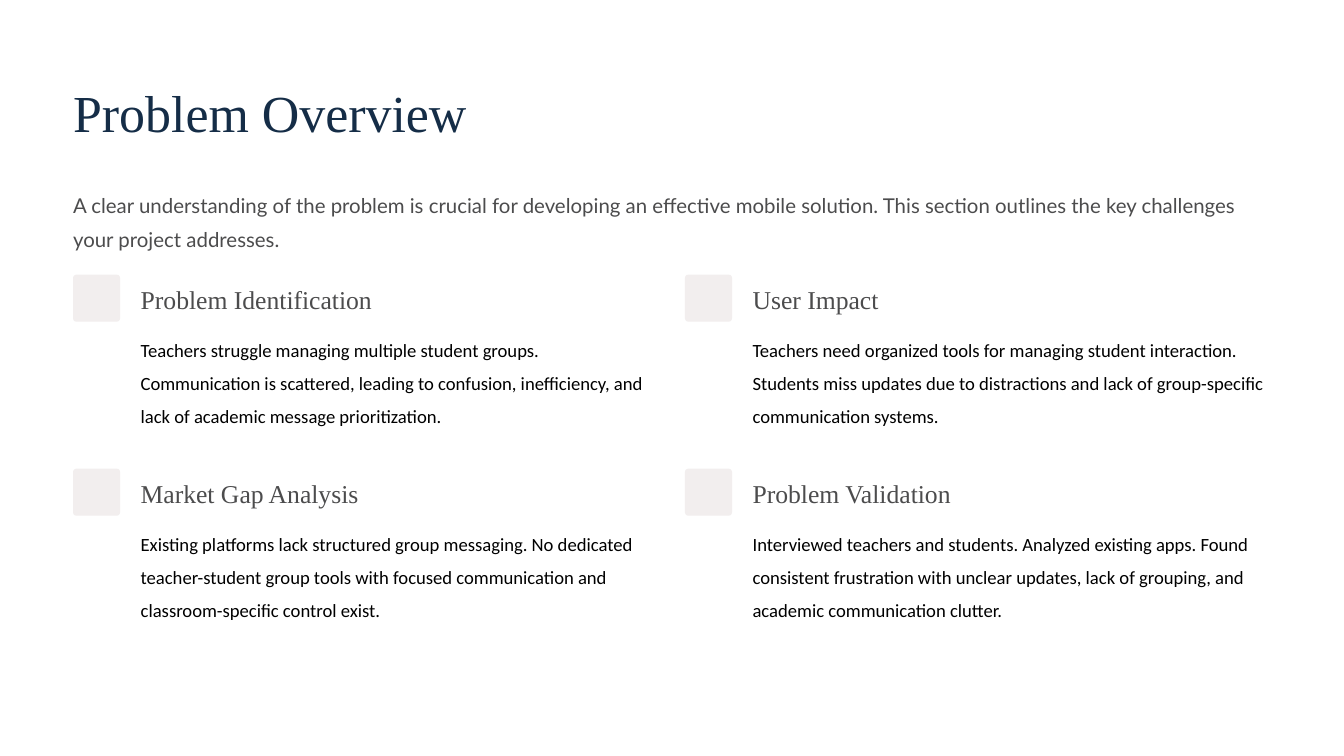
from pptx import Presentation
from pptx.dml.color import RGBColor
from pptx.enum.shapes import MSO_SHAPE as SHAPE
from pptx.util import Inches, Pt

INK, NAVY, GREY, TILE, WHITE = "000000", "152D47", "4C4C4D", "F2EEEE", "FFFFFF"
SERIF = "Times New Roman"
TOPICS = [
    ("Problem Identification",
     "Teachers struggle managing multiple student groups. Communication is scattered, "
     "leading to confusion, inefficiency, and lack of academic message prioritization."),
    ("User Impact",
     "Teachers need organized tools for managing student interaction. Students miss "
     "updates due to distractions and lack of group-specific communication systems."),
    ("Market Gap Analysis",
     "Existing platforms lack structured group messaging. No dedicated teacher-student "
     "group tools with focused communication and classroom-specific control exist."),
    ("Problem Validation",
     "Interviewed teachers and students. Analyzed existing apps. Found consistent "
     "frustration with unclear updates, lack of grouping, and academic communication clutter."),
]


def paint(fill, color):
    """Give a fill one solid colour."""
    fill.solid()
    fill.fore_color.rgb = RGBColor.from_string(color)


def add_text(s, box, text, font, size, color, leading, wrap=True):
    """Place one paragraph in a box without margins."""
    tf = s.shapes.add_textbox(*map(Inches, box)).text_frame
    tf.margin_left = tf.margin_top = tf.margin_right = tf.margin_bottom = 0
    tf.word_wrap = wrap
    p = tf.paragraphs[0]
    p.text = text
    p.line_spacing = Pt(leading)
    p.font.name = font
    p.font.size = Pt(size)
    p.font.color.rgb = RGBColor.from_string(color)


def add_header(s, left, top, width):
    """Place the slide title and its introduction."""
    add_text(s, (left, top, 6.2, 0.78), "Problem Overview", SERIF, 44.5, NAVY, 55.5, False)
    add_text(s, (left, top + 1.27, width, 0.79),
             "A clear understanding of the problem is crucial for developing an effective "
             "mobile solution. This section outlines the key challenges your project addresses.",
             "Lato", 17.5, GREY, 28.5)


def add_topic(s, left, top, width, heading, body):
    """Place a tile with a heading beside it and body text below."""
    tile = s.shapes.add_shape(SHAPE.ROUNDED_RECTANGLE, Inches(left), Inches(top),
                              Inches(0.56), Inches(0.56))
    tile.adjustments[0] = 0.07
    tile.shadow.inherit = False
    paint(tile.fill, TILE)
    tile.line.fill.background()
    indent = 0.805
    add_text(s, (left + indent, top + 0.09, 3.1, 0.39), heading, SERIF, 22, GREY, 27.5, False)
    add_text(s, (left + indent, top + 0.63, width - indent, 1.19), body, "Calibri", 16, INK, 28.5)


def add_topics(s, left, top, width):
    """Place the topics in a grid of two columns."""
    column_step, row_step = 7.285, 2.31
    for i, (heading, body) in enumerate(TOPICS):
        row, column = divmod(i, 2)
        add_topic(s, left + column * column_step, top + row * row_step,
                  width - column_step, heading, body)


def main():
    """Build and save the slide."""
    prs = Presentation()
    prs.slide_width, prs.slide_height = Inches(16), Inches(9)
    s = prs.slides.add_slide(prs.slide_layouts[6])
    paint(s.background.fill, WHITE)
    add_header(s, 0.87, 0.93, 14.26)
    add_topics(s, 0.87, 3.27, 14.26)
    prs.save("out.pptx")


if __name__ == "__main__":
    main()
